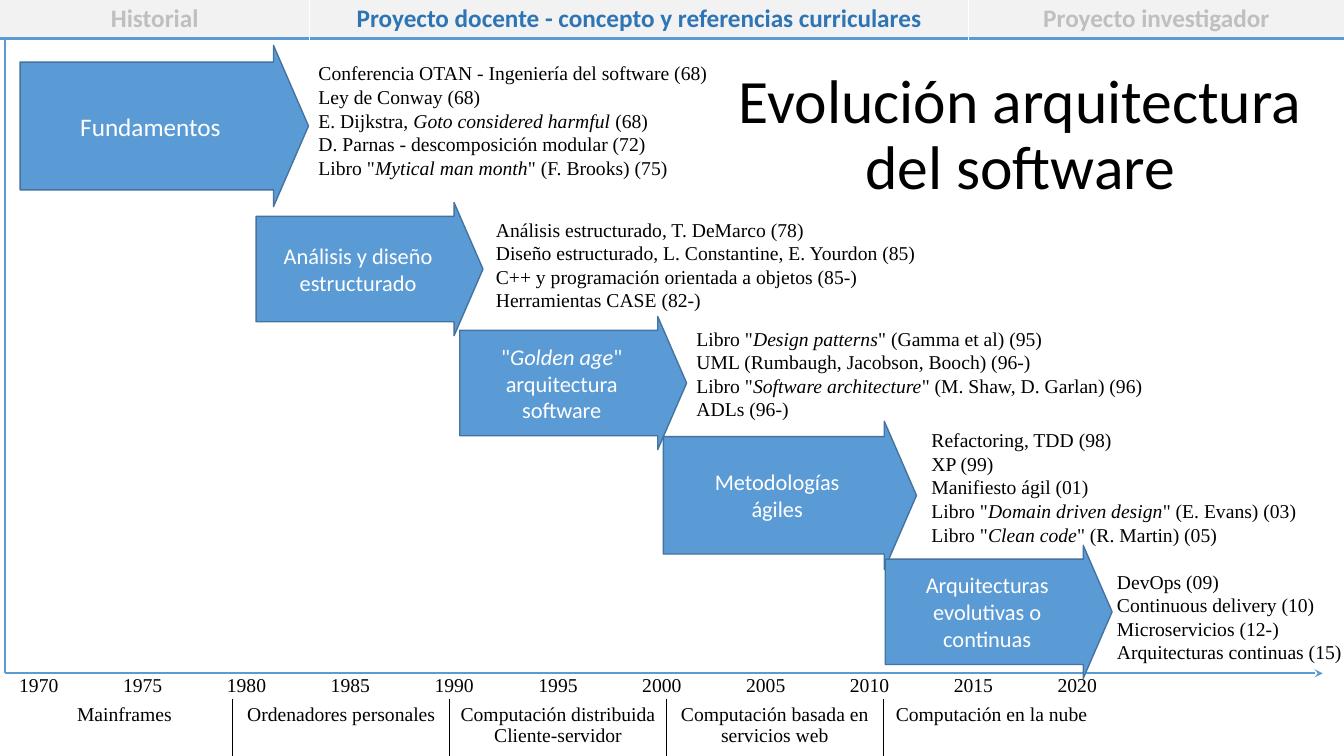
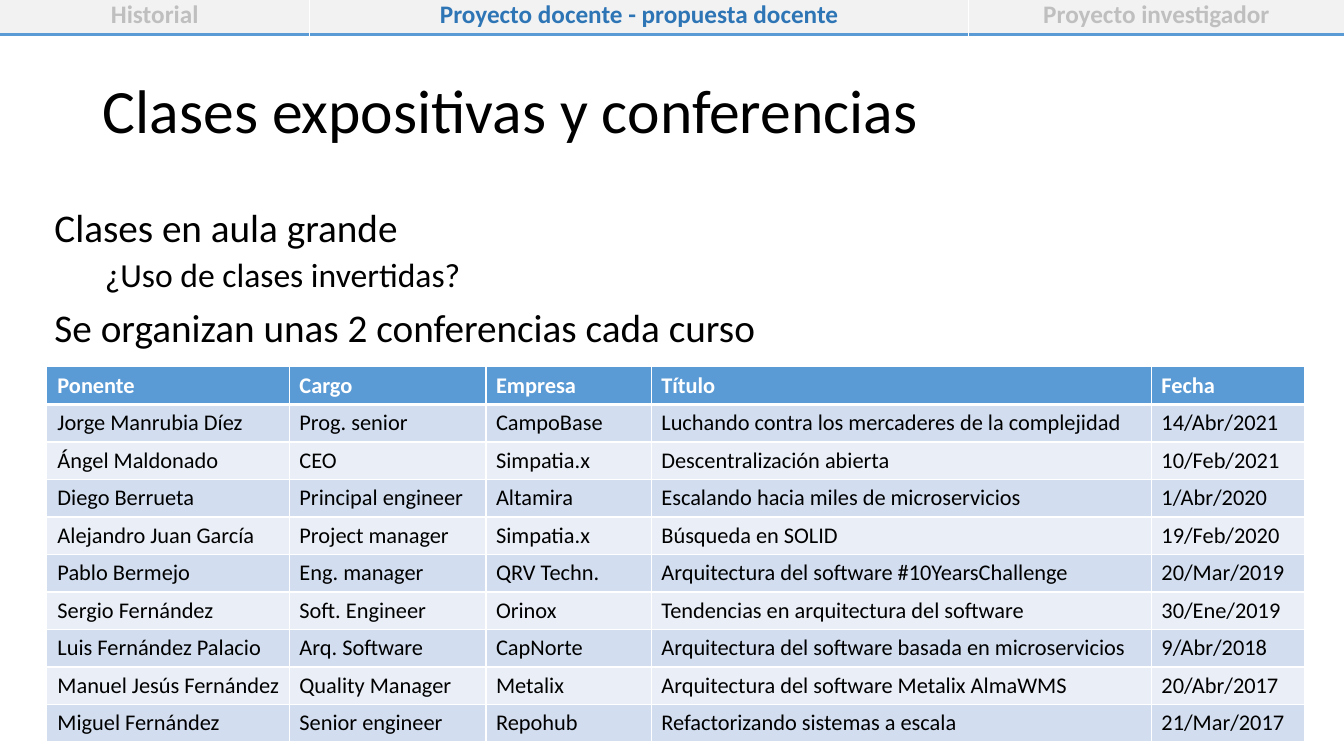
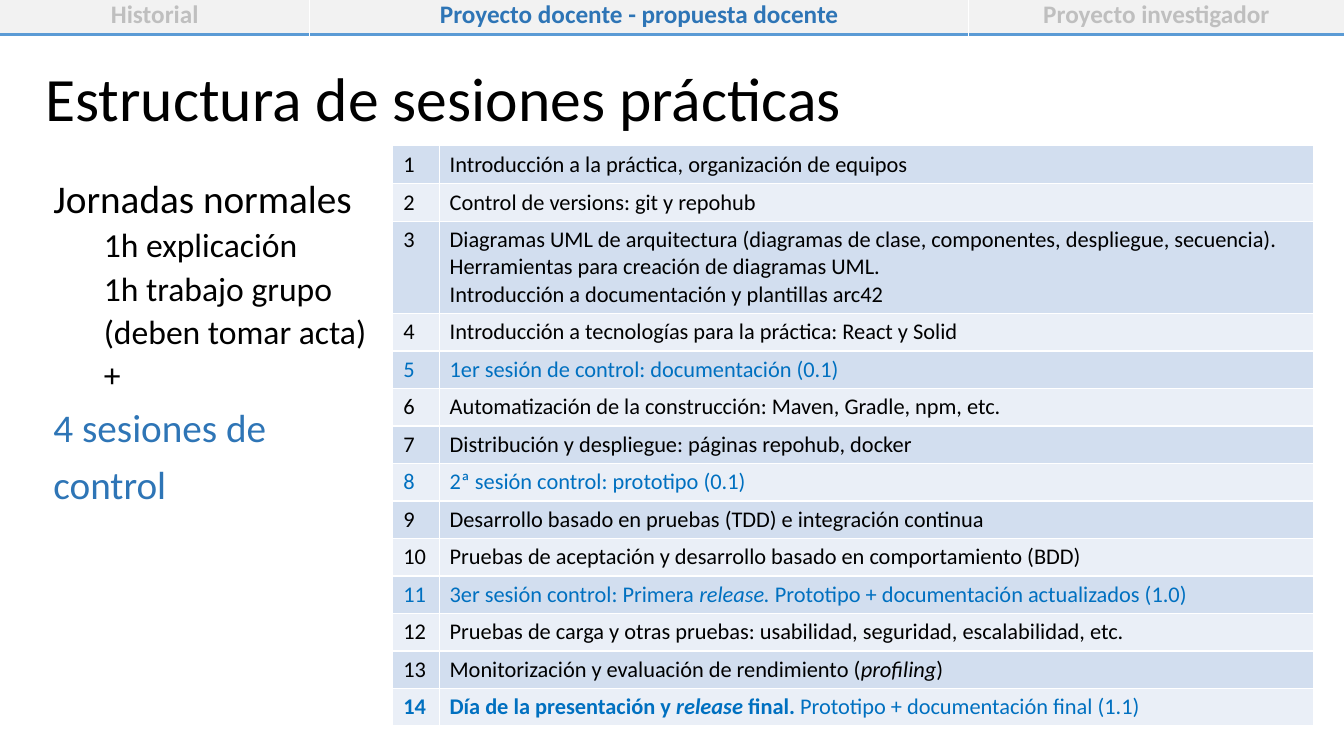
from lxml.etree import SubElement
from pptx import Presentation
from pptx.dml.color import RGBColor
from pptx.enum.shapes import MSO_CONNECTOR, MSO_SHAPE
from pptx.enum.text import MSO_ANCHOR, MSO_AUTO_SIZE, PP_ALIGN
from pptx.oxml.ns import qn
from pptx.util import Inches, Pt

BLACK = RGBColor(0x00, 0x00, 0x00)
WHITE = RGBColor(0xFF, 0xFF, 0xFF)
BLUE = RGBColor(0x5B, 0x9B, 0xD5)
OUTLINE_BLUE = RGBColor(0x43, 0x73, 0x9E)
DARK_BLUE = RGBColor(0x2E, 0x75, 0xB6)
CONTROL_BLUE = RGBColor(0x00, 0x70, 0xC0)
DARK_BAND = RGBColor(0xD2, 0xDE, 0xEF)
LIGHT_BAND = RGBColor(0xEA, 0xEF, 0xF7)
TAB_FILL = RGBColor(0xF2, 0xF2, 0xF2)
TAB_GRAY = RGBColor(0xBF, 0xBF, 0xBF)
SANS = "Calibri"
SERIF = "Times New Roman"
NO_STYLE = "{2D5ABB26-0587-4C30-8999-92F81FD0307C}"


def write(frame, lines, size, font=SANS, color=BLACK, align=PP_ALIGN.LEFT):
    for index, line in enumerate(lines):
        para = frame.add_paragraph() if index else frame.paragraphs[0]
        para.alignment = align
        for part, words in enumerate(line.split("*")):
            if words:
                span = para.add_run()
                span.text = words
                span.font.size = Pt(size)
                span.font.name = font
                span.font.color.rgb = color
                span.font.italic = part % 2 == 1


def add_grid(page, left, top, widths, heights, rows, size, font=SANS,
             align=PP_ALIGN.LEFT, fills=None, vertical=None, bottom=None):
    frame = page.shapes.add_table(
        len(rows), len(widths), Inches(left), Inches(top),
        Inches(sum(widths)), Inches(sum(heights)))
    grid = frame.table
    grid.first_row = False
    grid.horz_banding = False
    grid._tbl.tblPr.find(qn("a:tableStyleId")).text = NO_STYLE
    for column, width in zip(grid.columns, widths):
        column.width = Inches(width)
    for index, (row, height) in enumerate(zip(rows, heights)):
        grid.rows[index].height = Inches(height)
        for position, text in enumerate(row):
            cell = grid.cell(index, position)
            write(cell.text_frame, text.split("\n"), size, font, align=align)
            edges = [("a:lnL", vertical if position else None),
                     ("a:lnR", vertical if position < len(row) - 1 else None),
                     ("a:lnB", bottom)]
            for tag, edge in edges:
                if edge:
                    color, points = edge
                    line = SubElement(cell._tc.get_or_add_tcPr(), qn(tag), w=str(Pt(points)))
                    SubElement(SubElement(line, qn("a:solidFill")), qn("a:srgbClr"), val=str(color))
            if fills:
                cell.fill.solid()
                cell.fill.fore_color.rgb = fills[index % len(fills)]
            else:
                cell.fill.background()
    return grid


deck = Presentation()
deck.slide_width = Inches(13.33)
deck.slide_height = Inches(7.5)
title_only = deck.slide_layouts[5]
title_and_body = deck.slide_layouts[1]

outlines = [
    (title_only, "Evolución arquitectura del software", (7.2, 0.63, 5.84, 1.45),
     PP_ALIGN.CENTER, None, []),
    (title_and_body, "Clases expositivas y conferencias", (0.92, 0.4, 11.5, 1.45),
     PP_ALIGN.LEFT, (0.44, 2.02, 11.98, 4.73),
     [(0, "Clases en aula grande", BLACK),
      (1, "¿Uso de clases invertidas?", BLACK),
      (0, "Se organizan unas 2 conferencias cada curso", BLACK)]),
    (title_and_body, "Estructura de sesiones prácticas", (0.35, 0.28, 11.99, 1.45),
     PP_ALIGN.LEFT, (0.43, 1.73, 11.5, 4.76),
     [(0, "Jornadas normales", BLACK),
      (1, "1h explicación", BLACK),
      (1, "1h trabajo grupo", BLACK),
      (1, "(deben tomar acta)", BLACK),
      (1, "+", BLACK),
      (0, "4 sesiones de", DARK_BLUE),
      (0, "control", DARK_BLUE)]),
]

pages = []
for layout, heading, title_place, align, body_place, items in outlines:
    page = deck.slides.add_slide(layout)
    pages.append(page)
    title = page.shapes.title
    title.left, title.top, title.width, title.height = map(Inches, title_place)
    title.text_frame.auto_size = MSO_AUTO_SIZE.NONE
    title.text_frame.vertical_anchor = MSO_ANCHOR.MIDDLE
    write(title.text_frame, [heading], 44, align=align)
    title.text_frame.paragraphs[0].line_spacing = 0.9
    if not items:
        continue
    body = page.placeholders[1]
    body.left, body.top, body.width, body.height = map(Inches, body_place)
    body.text_frame.auto_size = MSO_AUTO_SIZE.NONE
    body.text_frame.text = "\n".join(text for level, text, color in items)
    for index, (level, text, color) in enumerate(items):
        para = body.text_frame.paragraphs[index]
        para.level = level
        para.line_spacing = 0.9
        para.space_before = Pt((5 if level else 10) if index else 0)
        properties = para._p.get_or_add_pPr()
        properties.set("marL", str(Inches(0.5 * level)))
        properties.set("indent", "0")
        SubElement(properties, qn("a:buNone"))
        span = para.runs[0]
        span.font.size = Pt(24 if level else 28)
        span.font.name = SANS
        span.font.color.rgb = color

evolution, lectures, sessions = pages

years = [str(year) for year in range(1970, 2021, 5)]
add_grid(evolution, 0.09, 6.65, [1.03] * len(years), [0.41], [years], 14, SERIF)

for start, end in [((0.05, 0.35), (0.05, 6.68)), ((0.05, 6.68), (13.12, 6.68))]:
    axis = evolution.shapes.add_connector(
        MSO_CONNECTOR.STRAIGHT, *map(Inches, start + end))
    axis.line.color.rgb = BLUE
    axis.line.width = Pt(1.5)
    SubElement(axis._element.spPr, qn("a:effectLst"))
SubElement(axis.line._get_or_add_ln(), qn("a:tailEnd"), type="stealth")

stages = [
    ((0.2, 0.45, 2.86, 1.6), 18, ["Fundamentos"], (3.06, 0.56, 4.65, 1.28),
     ["Conferencia OTAN - Ingeniería del software (68)",
      "Ley de Conway (68)",
      "E. Dijkstra, *Goto considered harmful* (68)",
      "D. Parnas - descomposición modular (72)",
      'Libro "*Mytical man month*" (F. Brooks) (75)']),
    ((2.54, 2.01, 2.25, 1.32), 16, ["Análisis y diseño estructurado"], (4.82, 2.11, 4.4, 1.04),
     ["Análisis estructurado, T. DeMarco (78)",
      "Diseño estructurado, L. Constantine, E. Yourdon (85)",
      "C++ y programación orientada a objetos (85-)",
      "Herramientas CASE (82-)"]),
    ((4.56, 3.14, 2.25, 1.32), 16, ['"*Golden age*"', "arquitectura software"],
     (6.81, 3.19, 4.66, 1.04),
     ['Libro "*Design patterns*" (Gamma et al) (95)',
      "UML (Rumbaugh, Jacobson, Booch) (96-)",
      'Libro "*Software architecture*" (M. Shaw, D. Garlan) (96)',
      "ADLs (96-)"]),
    ((6.58, 4.18, 2.51, 1.47), 16, ["Metodologías", "ágiles"], (9.14, 4.2, 3.84, 1.28),
     ["Refactoring, TDD (98)",
      "XP (99)",
      "Manifiesto ágil (01)",
      'Libro "*Domain driven design*" (E. Evans) (03)',
      'Libro "*Clean code*" (R. Martin) (05)']),
    ((8.78, 5.41, 2.25, 1.32), 16, ["Arquitecturas evolutivas o continuas"],
     (10.98, 5.6, 2.35, 1.04),
     ["DevOps (09)",
      "Continuous delivery (10)",
      "Microservicios (12-)",
      "Arquitecturas continuas (15)"]),
]
for arrow_place, size, label, notes_place, notes in stages:
    box = evolution.shapes.add_textbox(*map(Inches, notes_place))
    box.text_frame.word_wrap = True
    box.text_frame.margin_right = 0
    write(box.text_frame, notes, 14, SERIF)
    arrow = evolution.shapes.add_shape(MSO_SHAPE.RIGHT_ARROW, *map(Inches, arrow_place))
    arrow.adjustments[0] = 0.792
    arrow.adjustments[1] = 0.217
    arrow.shadow.inherit = False
    arrow.fill.solid()
    arrow.fill.fore_color.rgb = BLUE
    arrow.line.color.rgb = OUTLINE_BLUE
    arrow.line.width = Pt(1)
    arrow.text_frame.word_wrap = True
    arrow.text_frame.vertical_anchor = MSO_ANCHOR.MIDDLE
    write(arrow.text_frame, label, size, color=WHITE, align=PP_ALIGN.CENTER)

eras = ["Mainframes", "Ordenadores personales", "Computación distribuida\nCliente-servidor",
        "Computación basada en servicios web", "Computación en la nube"]
add_grid(evolution, 0.16, 6.93, [2.15] * len(eras), [0.57], [eras], 14, SERIF,
         PP_ALIGN.CENTER, vertical=(BLACK, 1))

talks = [
    ("Ponente", "Cargo", "Empresa", "Título", "Fecha"),
    ("Jorge Manrubia Díez", "Prog. senior", "CampoBase",
     "Luchando contra los mercaderes de la complejidad", "14/Abr/2021"),
    ("Ángel Maldonado", "CEO", "Simpatia.x", "Descentralización abierta", "10/Feb/2021"),
    ("Diego Berrueta", "Principal engineer", "Altamira",
     "Escalando hacia miles de microservicios", "1/Abr/2020"),
    ("Alejandro Juan García", "Project manager", "Simpatia.x",
     "Búsqueda en SOLID", "19/Feb/2020"),
    ("Pablo Bermejo", "Eng. manager", "QRV Techn.",
     "Arquitectura del software #10YearsChallenge", "20/Mar/2019"),
    ("Sergio Fernández", "Soft. Engineer", "Orinox",
     "Tendencias en arquitectura del software", "30/Ene/2019"),
    ("Luis Fernández Palacio", "Arq. Software", "CapNorte",
     "Arquitectura del software basada en microservicios", "9/Abr/2018"),
    ("Manuel Jesús Fernández", "Quality Manager", "Metalix",
     "Arquitectura del software Metalix AlmaWMS", "20/Abr/2017"),
    ("Miguel Fernández", "Senior engineer", "Repohub",
     "Refactorizando sistemas a escala", "21/Mar/2017"),
]
talk_grid = add_grid(lectures, 0.47, 3.64, [2.4, 1.95, 1.64, 4.96, 1.51], [0.37] * len(talks),
                     talks, 16, fills=[LIGHT_BAND, DARK_BAND],
                     vertical=(WHITE, 1), bottom=(WHITE, 1))
for cell in talk_grid.rows[0].cells:
    cell.fill.fore_color.rgb = BLUE
    cell._tc.tcPr.find(qn("a:lnB")).set("w", str(Pt(3)))
    heading_font = cell.text_frame.paragraphs[0].runs[0].font
    heading_font.bold = True
    heading_font.color.rgb = WHITE

topics = [
    "Introducción a la práctica, organización de equipos",
    "Control de versions: git y repohub",
    "Diagramas UML de arquitectura (diagramas de clase, componentes, despliegue, secuencia).\n"
    "Herramientas para creación de diagramas UML.\n"
    "Introducción a documentación y plantillas arc42",
    "Introducción a tecnologías para la práctica: React y Solid",
    "1er sesión de control: documentación (0.1)",
    "Automatización de la construcción: Maven, Gradle, npm, etc.",
    "Distribución y despliegue: páginas repohub, docker",
    "2ª sesión control: prototipo (0.1)",
    "Desarrollo basado en pruebas (TDD) e integración continua",
    "Pruebas de aceptación y desarrollo basado en comportamiento (BDD)",
    "3er sesión control: Primera *release. *Prototipo + documentación actualizados (1.0)",
    "Pruebas de carga y otras pruebas: usabilidad, seguridad, escalabilidad, etc.",
    "Monitorización y evaluación de rendimiento (*profiling*)",
    "Día de la presentación y *release *final. **Prototipo + documentación final (1.1)",
]
topic_rows = [(str(number), topic) for number, topic in enumerate(topics, 1)]
topic_heights = [0.91 if "\n" in topic else 0.37 for topic in topics]
topic_grid = add_grid(sessions, 3.9, 1.45, [0.46, 8.66], topic_heights, topic_rows, 16,
                      fills=[DARK_BAND, LIGHT_BAND], vertical=(WHITE, 1), bottom=(WHITE, 1))
for number in (5, 8, 11, 14):
    for cell in topic_grid.rows[number - 1].cells:
        for span in cell.text_frame.paragraphs[0].runs:
            span.font.color.rgb = CONTROL_BLUE
for cell in topic_grid.rows[13].cells:
    for span in cell.text_frame.paragraphs[0].runs[:3]:
        span.font.bold = True

tabs = [(evolution, -0.02, "concepto y referencias curriculares"),
        (lectures, -0.06, "propuesta docente"),
        (sessions, -0.06, "propuesta docente")]
for page, top, section in tabs:
    names = ["Historial", f"Proyecto docente - {section}", "Proyecto investigador"]
    band = add_grid(page, 0, top, [3.07, 6.54, 3.72], [0.4], [names], 18,
                    align=PP_ALIGN.CENTER, fills=[TAB_FILL],
                    vertical=(WHITE, 1), bottom=(BLUE, 2.25))
    for cell, color in zip(band.rows[0].cells, [TAB_GRAY, DARK_BLUE, TAB_GRAY]):
        tab_font = cell.text_frame.paragraphs[0].runs[0].font
        tab_font.bold = True
        tab_font.color.rgb = color

deck.save("out.pptx")
